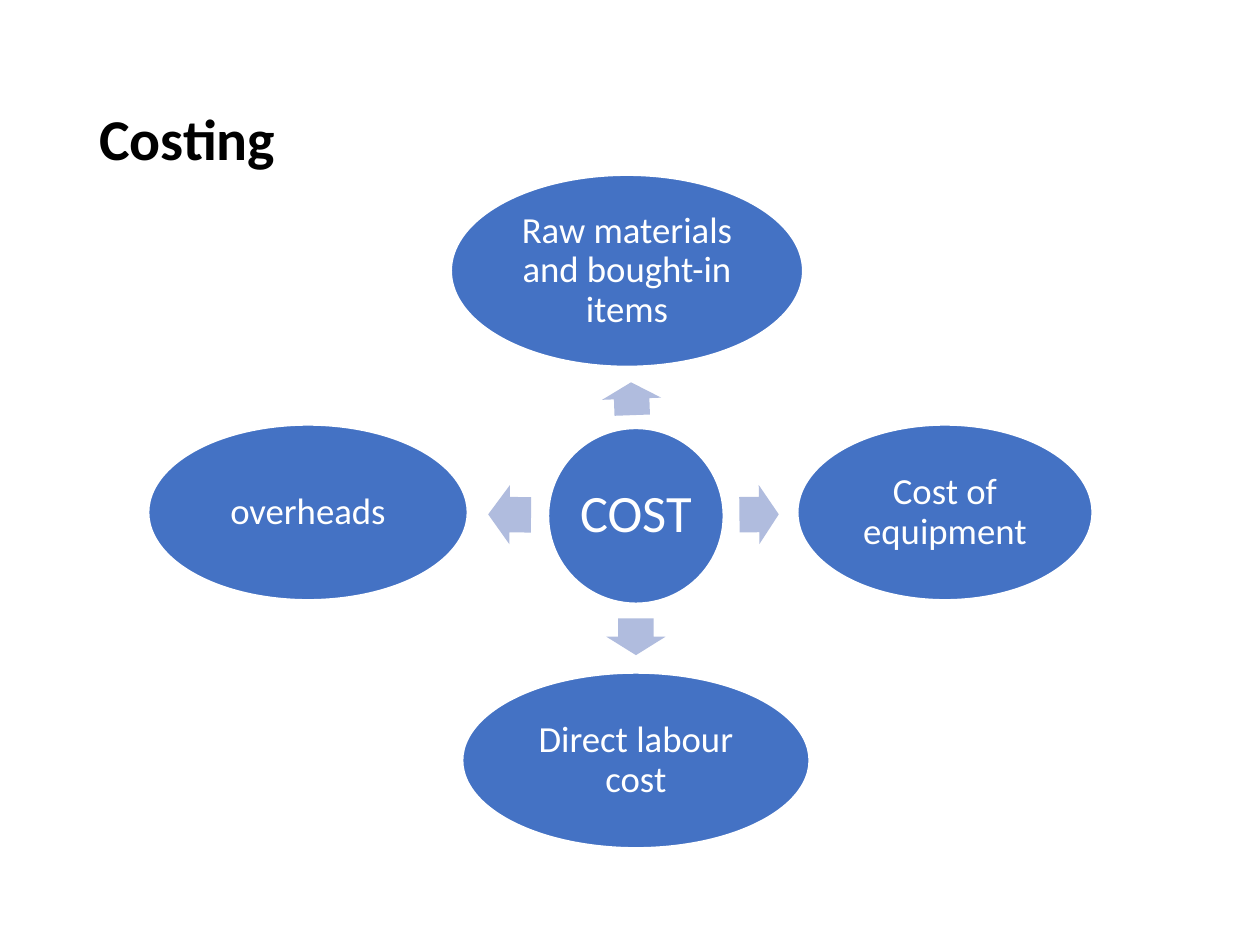
import math
from dataclasses import dataclass

from pptx import Presentation
from pptx.dml.color import RGBColor
from pptx.enum.shapes import MSO_SHAPE
from pptx.enum.text import MSO_ANCHOR, PP_ALIGN
from pptx.util import Cm, Pt

OVAL = MSO_SHAPE.OVAL
RIGHT_ARROW = MSO_SHAPE.RIGHT_ARROW
MIDDLE = MSO_ANCHOR.MIDDLE
LEFT = PP_ALIGN.LEFT
CENTER = PP_ALIGN.CENTER


@dataclass(frozen=True)
class Theme:
    font: str = "Calibri"
    ink: RGBColor = RGBColor(0x00, 0x00, 0x00)
    white: RGBColor = RGBColor(0xFF, 0xFF, 0xFF)
    node: RGBColor = RGBColor(0x44, 0x72, 0xC4)
    arrow: RGBColor = RGBColor(0xB0, 0xBC, 0xDE)
    title_pt: int = 33
    hub_pt: int = 30
    node_pt: int = 21
    outline_pt: int = 1


@dataclass(frozen=True)
class Node:
    """An ellipse given by its centre and size in centimetres."""
    text: str
    cx: float
    cy: float
    w: float
    h: float


THEME = Theme()
ARROW_WIDTH = 1.19
ARROW_SHARE = 0.53   # arrow length as a share of the gap it stands in
ARROW_CENTRE = 0.48  # arrow centre as a share of the gap, from the hub

HUB = Node("COST", 12.82, 10.4, 3.53, 3.53)
COSTS = [
    Node("Raw materials and bought-in items", 12.64, 5.46, 7.09, 3.86),
    Node("Cost of equipment", 19.05, 10.33, 5.94, 3.53),
    Node("Direct labour cost", 12.82, 15.33, 6.99, 3.53),
    Node("overheads", 6.21, 10.33, 6.43, 3.53),
]


def set_text(sp, text: str, *, size: int, color: RGBColor, bold: bool = False,
             align=CENTER, inset: float = 0.08) -> None:
    tf = sp.text_frame
    tf.word_wrap = True
    tf.vertical_anchor = MIDDLE
    tf.margin_left = tf.margin_right = Cm(inset)
    tf.margin_top = tf.margin_bottom = Cm(inset)
    p = tf.paragraphs[0]
    p.alignment = align
    p.line_spacing = 0.9
    r = p.add_run()
    r.text = text
    r.font.name = THEME.font
    r.font.size = Pt(size)
    r.font.bold = bold
    r.font.color.rgb = color


def add_centred(slide, kind, cx: float, cy: float, w: float, h: float,
                fill: RGBColor):
    sp = slide.shapes.add_shape(kind, Cm(cx - w / 2), Cm(cy - h / 2), Cm(w), Cm(h))
    sp.shadow.inherit = False
    sp.fill.solid()
    sp.fill.fore_color.rgb = fill
    return sp


def add_node(slide, node: Node, size: int) -> None:
    sp = add_centred(slide, OVAL, node.cx, node.cy, node.w, node.h, THEME.node)
    sp.line.color.rgb = THEME.white
    sp.line.width = Pt(THEME.outline_pt)
    set_text(sp, node.text, size=size, color=THEME.white)


def add_arrow(slide, hub: Node, node: Node) -> None:
    """Place an arrow in the gap between hub and node, pointing at the node."""
    dx, dy = node.cx - hub.cx, node.cy - hub.cy
    distance = math.hypot(dx, dy)
    if abs(dx) > abs(dy):
        hub_radius, node_radius = hub.w / 2, node.w / 2
    else:
        hub_radius, node_radius = hub.h / 2, node.h / 2
    gap = distance - hub_radius - node_radius
    along = (hub_radius + ARROW_CENTRE * gap) / distance
    sp = add_centred(slide, RIGHT_ARROW, hub.cx + along * dx, hub.cy + along * dy,
                     ARROW_SHARE * gap, ARROW_WIDTH, THEME.arrow)
    sp.line.fill.background()
    sp.adjustments[0] = 0.6
    sp.adjustments[1] = 0.5
    sp.rotation = math.degrees(math.atan2(dy, dx)) % 360


def main() -> None:
    prs = Presentation()
    prs.slide_width, prs.slide_height = Cm(25.4), Cm(19.05)
    slide = prs.slides.add_slide(prs.slide_layouts[6])

    title = slide.shapes.add_textbox(Cm(1.75), Cm(1.02), Cm(21.9), Cm(3.68))
    set_text(title, "Costing", size=THEME.title_pt, color=THEME.ink, bold=True,
             align=LEFT, inset=0.25)

    add_node(slide, HUB, THEME.hub_pt)
    for cost in COSTS:
        add_arrow(slide, HUB, cost)
        add_node(slide, cost, THEME.node_pt)

    prs.save("out.pptx")


if __name__ == "__main__":
    main()
